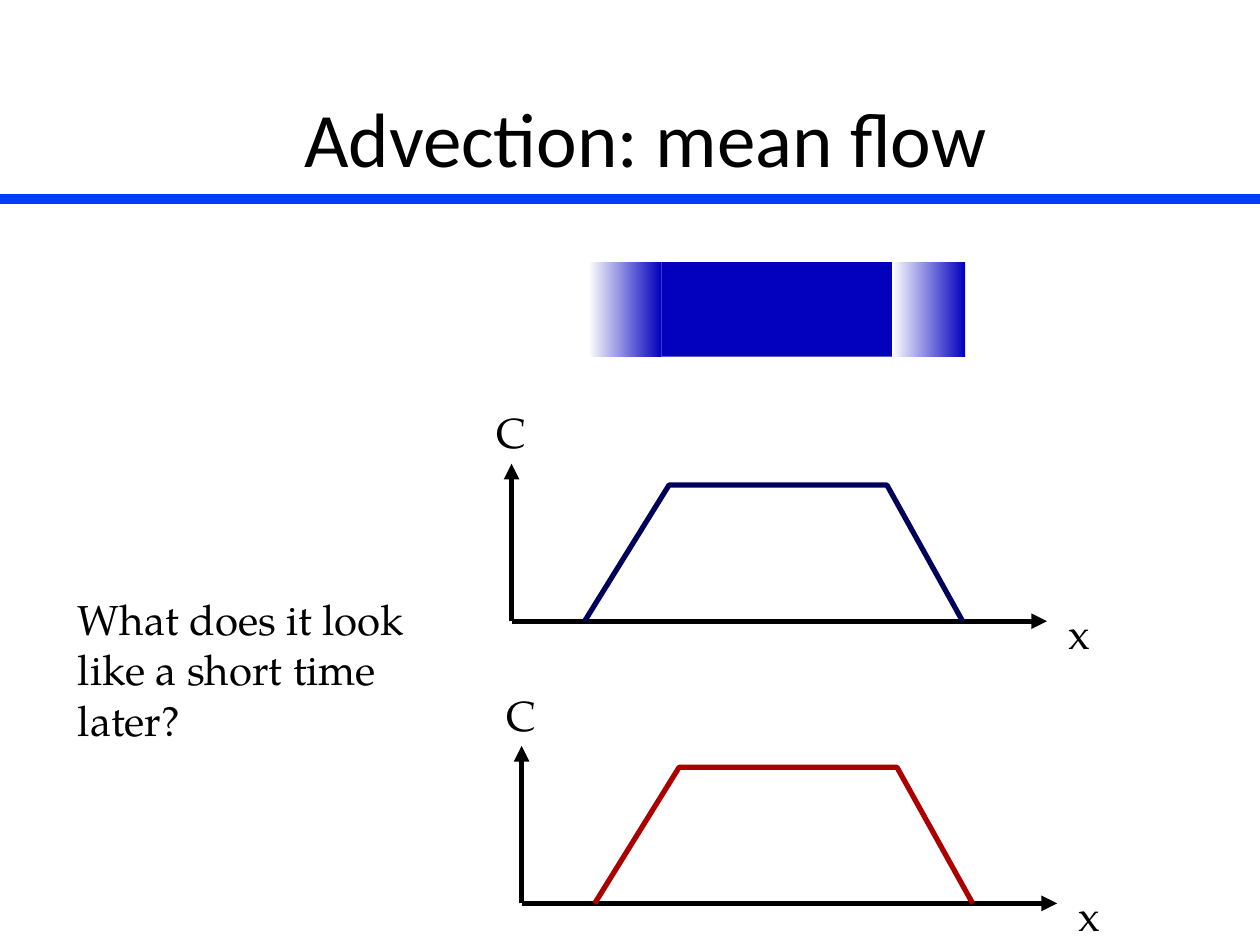
from lxml.etree import SubElement
from pptx import Presentation
from pptx.dml.color import RGBColor
from pptx.enum.shapes import MSO_CONNECTOR, MSO_SHAPE
from pptx.enum.text import MSO_ANCHOR, PP_ALIGN
from pptx.oxml.ns import qn
from pptx.util import Inches, Pt

WIDTH, HEIGHT = 10, 7.5
BLACK = RGBColor(0x00, 0x00, 0x00)
WHITE = RGBColor(0xFF, 0xFF, 0xFF)
RULE_BLUE = RGBColor(0x00, 0x3C, 0xFE)
DYE_BLUE = RGBColor(0x03, 0x00, 0xBE)
NAVY = RGBColor(0x00, 0x00, 0x5A)
RED = RGBColor(0xAC, 0x00, 0x00)
TITLE_FONT, BODY_FONT = "Calibri", "TeX Gyre Pagella"

# Concentration profile, measured from the origin of its axes
PROFILE = [(0.58, 0), (1.25, -1.08), (2.98, -1.08), (3.58, 0)]


def add_text(s, text, x, y, w, h, *, font=BODY_FONT, size=24, color=BLACK,
             align=PP_ALIGN.LEFT, anchor=MSO_ANCHOR.TOP, wrap=True):
    sp = s.shapes.add_textbox(Inches(x), Inches(y), Inches(w), Inches(h))
    tf = sp.text_frame
    tf.word_wrap = wrap
    tf.vertical_anchor = anchor
    p = tf.paragraphs[0]
    p.alignment = align
    r = p.add_run()
    r.text = text
    r.font.name = font
    r.font.size = Pt(size)
    r.font.color.rgb = color


def add_line(s, start, end, *, color=BLACK, width=3, arrow=False):
    points = [Inches(v) for v in (*start, *end)]
    line = s.shapes.add_connector(MSO_CONNECTOR.STRAIGHT, *points)
    line.line.color.rgb = color
    line.line.width = Pt(width)
    if arrow:
        SubElement(line.line._get_or_add_ln(), qn("a:tailEnd"), type="triangle")
    SubElement(line._element.spPr, qn("a:effectLst"))


def add_curve(s, points, color):
    start, *rest = [(Inches(x), Inches(y)) for x, y in points]
    builder = s.shapes.build_freeform(*start)
    builder.add_line_segments(rest, close=False)
    sp = builder.convert_to_shape()
    sp.shadow.inherit = False
    sp.fill.background()
    sp.line.color.rgb = color
    sp.line.width = Pt(3)


def add_plot(s, x, y, color):
    """Draw labelled axes with their origin at (x, y), and the profile."""
    add_line(s, (x, y), (x, y - 1.25), arrow=True)
    add_line(s, (x, y), (x + 4.25, y), arrow=True)
    for text, dx, dy, w in (("x", 4.32, -0.16, 0.37), ("C", -0.22, -1.75, 0.44)):
        add_text(s, text, x + dx, y + dy, w, 0.5, align=PP_ALIGN.CENTER,
                 anchor=MSO_ANCHOR.MIDDLE, wrap=False)
    add_curve(s, [(x + dx, y + dy) for dx, dy in PROFILE], color)


def add_band(s, x, w, fade=False):
    """Add a part of the dye patch, plain or fading in from the left."""
    sp = s.shapes.add_shape(MSO_SHAPE.RECTANGLE, Inches(x), Inches(2.08),
                            Inches(w), Inches(0.75))
    sp.shadow.inherit = False
    sp.line.fill.background()
    if fade:
        sp.fill.gradient()
        sp.fill.gradient_angle = 0
        for stop, color in zip(sp.fill.gradient_stops, (WHITE, DYE_BLUE)):
            stop.color.rgb = color
    else:
        sp.fill.solid()
        sp.fill.fore_color.rgb = DYE_BLUE


def main():
    prs = Presentation()
    prs.slide_width, prs.slide_height = Inches(WIDTH), Inches(HEIGHT)
    s = prs.slides.add_slide(prs.slide_layouts[6])

    add_line(s, (0, 1.58), (WIDTH, 1.58), color=RULE_BLUE, width=6)
    add_text(s, "Advection: mean flow", 0.5, 0.25, 9.25, 1.25, font=TITLE_FONT,
             size=44, align=PP_ALIGN.CENTER, anchor=MSO_ANCHOR.BOTTOM)
    add_text(s, "What does it look like a short time later?",
             0.52, 4.66, 3.17, 1.3)

    add_plot(s, 4.06, 4.93, NAVY)
    add_plot(s, 4.14, 7.17, RED)

    for x in (4.67, 7.08):
        add_band(s, x, 0.58, fade=True)
    add_band(s, 5.25, 1.83)

    prs.save("out.pptx")


if __name__ == "__main__":
    main()
